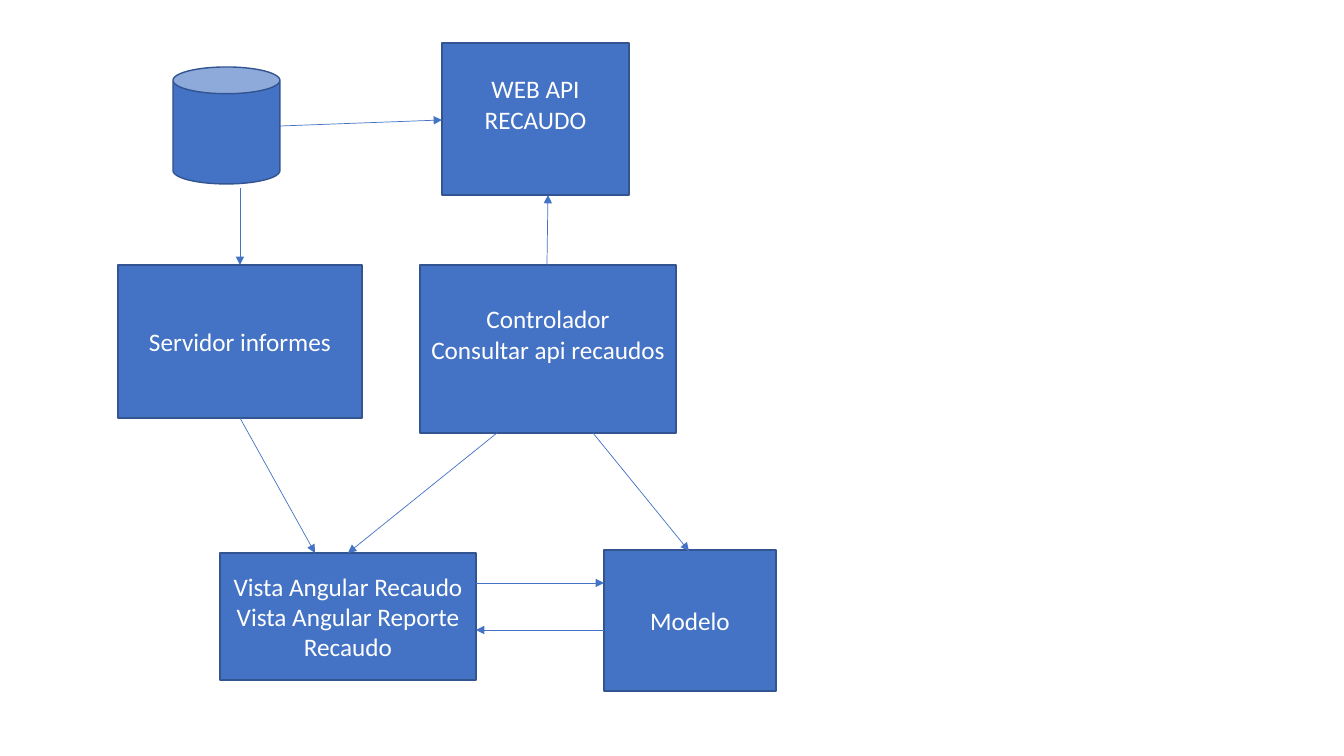
from dataclasses import dataclass
from typing import NamedTuple

from lxml import etree
from pptx import Presentation
from pptx.dml.color import RGBColor
from pptx.enum.shapes import MSO_CONNECTOR, MSO_SHAPE
from pptx.enum.text import MSO_ANCHOR, PP_ALIGN
from pptx.oxml.ns import qn
from pptx.util import Emu, Pt

RECT = MSO_SHAPE.RECTANGLE
CAN = MSO_SHAPE.CAN
LINE = MSO_CONNECTOR.STRAIGHT
MIDDLE = MSO_ANCHOR.MIDDLE
CENTER = PP_ALIGN.CENTER
SCALE = 914400 / 100.8


@dataclass(frozen=True)
class Theme:
    fill: RGBColor = RGBColor(0x44, 0x72, 0xC4)
    edge: RGBColor = RGBColor(0x32, 0x54, 0x91)
    text: RGBColor = RGBColor(0xFF, 0xFF, 0xFF)
    font: str = "Calibri"
    size: float = 18
    border: float = 1
    arrow: float = 0.5


class Box(NamedTuple):
    left: int
    top: int
    width: int
    height: int
    lines: tuple[str, ...] = ()
    lift: int = 0
    kind: MSO_SHAPE = RECT


class Arrow(NamedTuple):
    x1: int
    y1: int
    x2: int
    y2: int


THEME = Theme()
PAD = 5
ROW = 30

BOXES = (
    Box(220, 553, 256, 127, ("Vista Angular Recaudo", "Vista Angular Reporte Recaudo")),
    Box(420, 265, 256, 168, ("Controlador", "Consultar api recaudos"), ROW),
    Box(604, 550, 172, 141, ("Modelo",)),
    Box(442, 43, 187, 152, ("WEB API", "RECAUDO"), ROW),
    Box(118, 265, 244, 153, ("Servidor informes",)),
    Box(173, 67, 107, 117, kind=CAN),
)

ARROWS = (
    Arrow(497, 433, 348, 553),
    Arrow(593, 433, 689, 551),
    Arrow(476, 583, 604, 583),
    Arrow(604, 630, 476, 630),
    Arrow(547, 265, 548, 195),
    Arrow(240, 418, 315, 553),
    Arrow(280, 126, 442, 120),
    Arrow(240, 188, 240, 265),
)


def px(value: int) -> Emu:
    return Emu(round(value * SCALE))


def write(frame, lines: tuple[str, ...], *, size: float, color: RGBColor,
          font: str, lift: int = 0) -> None:
    frame.word_wrap = True
    frame.vertical_anchor = MIDDLE
    frame.margin_bottom = px(PAD + lift)
    for i, line in enumerate(lines):
        para = frame.add_paragraph() if i else frame.paragraphs[0]
        para.alignment = CENTER
        run = para.add_run()
        run.text = line
        run.font.size = Pt(size)
        run.font.name = font
        run.font.color.rgb = color


def draw_box(slide, box: Box) -> None:
    shape = slide.shapes.add_shape(box.kind, *map(px, box[:4]))
    shape.shadow.inherit = False
    shape.fill.solid()
    shape.fill.fore_color.rgb = THEME.fill
    shape.line.color.rgb = THEME.edge
    shape.line.width = Pt(THEME.border)
    if box.lines:
        write(shape.text_frame, box.lines, size=THEME.size, color=THEME.text,
              font=THEME.font, lift=box.lift)


def draw_arrow(slide, arrow: Arrow) -> None:
    link = slide.shapes.add_connector(LINE, *map(px, arrow))
    link.line.color.rgb = THEME.fill
    link.line.width = Pt(THEME.arrow)
    props = link.element.spPr
    etree.SubElement(props.find(qn("a:ln")), qn("a:tailEnd"), type="triangle")
    etree.SubElement(props, qn("a:effectLst"))


def main() -> None:
    deck = Presentation()
    deck.slide_width = px(1344)
    deck.slide_height = px(756)
    slide = deck.slides.add_slide(deck.slide_layouts[6])
    for box in BOXES:
        draw_box(slide, box)
    for arrow in ARROWS:
        draw_arrow(slide, arrow)
    deck.save("out.pptx")


main()
